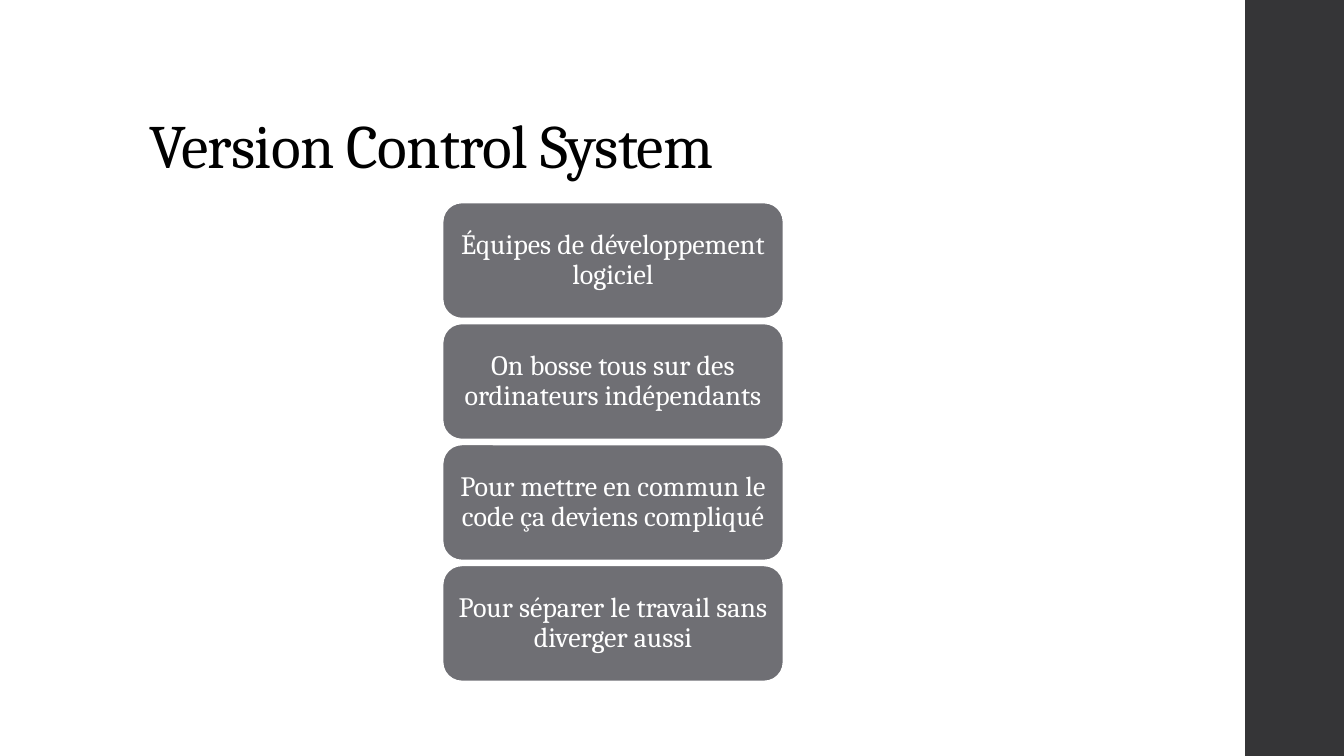
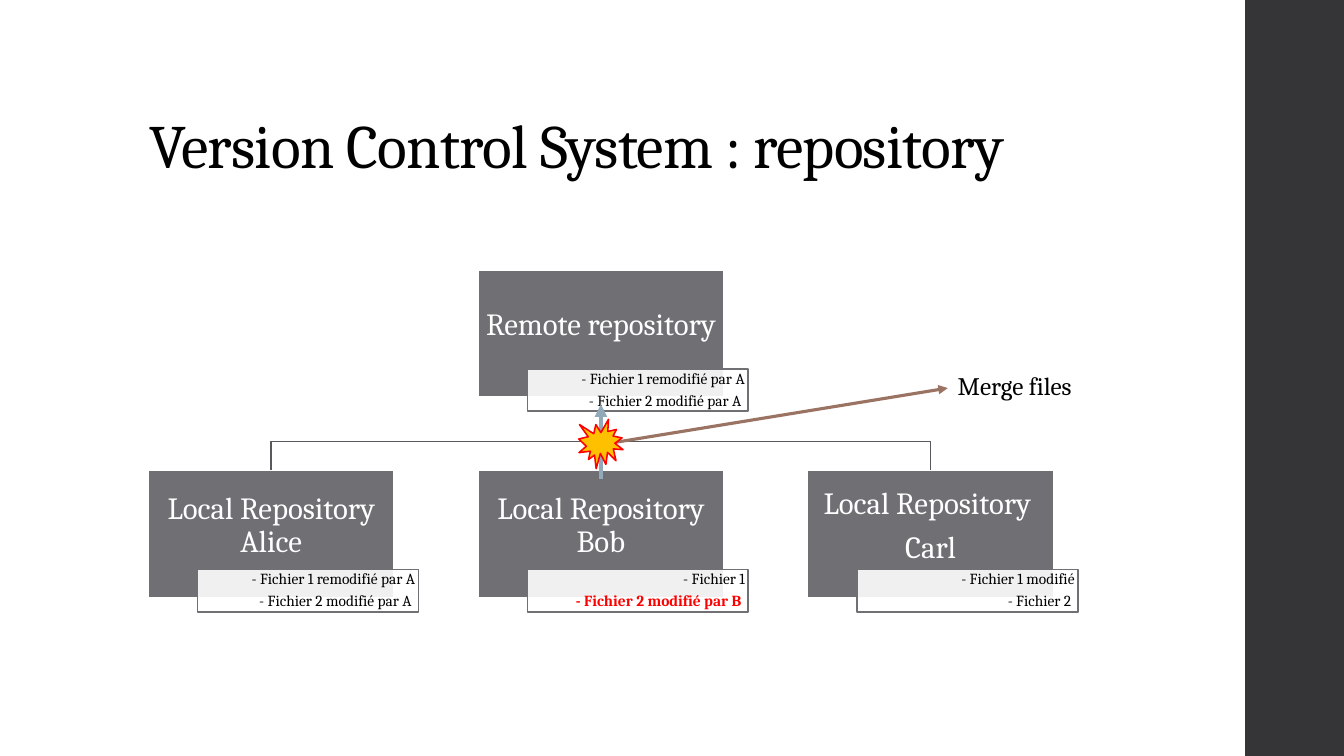
from lxml.etree import SubElement
from pptx import Presentation
from pptx.dml.color import RGBColor
from pptx.enum.shapes import MSO_CONNECTOR, MSO_SHAPE
from pptx.enum.text import MSO_ANCHOR, MSO_AUTO_SIZE, PP_ALIGN
from pptx.oxml.ns import qn
from pptx.util import Inches, Pt

WHITE = RGBColor(0xFF, 0xFF, 0xFF)
BLACK = RGBColor(0x00, 0x00, 0x00)
CHARCOAL = RGBColor(0x35, 0x35, 0x37)
GREY = RGBColor(0x6F, 0x6F, 0x74)
LINK_GREY = RGBColor(0x59, 0x59, 0x5D)
BROWN = RGBColor(0x9B, 0x73, 0x62)
BLUE = RGBColor(0x92, 0xA9, 0xB9)
AMBER = RGBColor(0xFF, 0xC0, 0x00)
RED = RGBColor(0xFF, 0x00, 0x00)


def apply(target, values):
    for name, value in values.items():
        setattr(target, name, value)


class Deck:
    """Shared style and the slide being filled."""
    FONT = "Cambria"
    TITLE_ONLY = 5
    OUTLINE = 1.1

    def __init__(self):
        self.prs = Presentation()
        self.prs.slide_width, self.prs.slide_height = Inches(13.33), Inches(7.5)

    def new_slide(self, title):
        self.slide = self.prs.slides.add_slide(self.prs.slide_layouts[self.TITLE_ONLY])
        self.shape(MSO_SHAPE.RECTANGLE, (12.35, 0, 0.98, 7.5), CHARCOAL)
        heading = self.slide.shapes.title
        apply(heading, dict(left=Inches(1.38), top=Inches(0.4),
                            width=Inches(10.6), height=Inches(1.45)))
        self.set_text(heading, [title], 44, BLACK, PP_ALIGN.LEFT, anchor=MSO_ANCHOR.BOTTOM)
        run = heading.text_frame.paragraphs[0].runs[0]
        run._r.get_or_add_rPr().set("spc", "-50")

    def set_text(self, shape, lines, size, color, align, insets=(0.1, 0.05, 0.1, 0.05),
                 anchor=MSO_ANCHOR.MIDDLE, spacing=0.9, after=0.0, wrap=True,
                 auto_size=MSO_AUTO_SIZE.NONE):
        frame = shape.text_frame
        left, top, right, bottom = map(Inches, insets)
        apply(frame, dict(word_wrap=wrap, auto_size=auto_size, vertical_anchor=anchor,
                          margin_left=left, margin_top=top,
                          margin_right=right, margin_bottom=bottom))
        for number, line in enumerate(lines):
            paragraph = frame.add_paragraph() if number else frame.paragraphs[0]
            apply(paragraph, dict(alignment=align, line_spacing=spacing,
                                  space_before=Pt(0), space_after=Pt(size * after)))
            run = paragraph.add_run()
            run.text = line
            apply(run.font, dict(name=self.FONT, size=Pt(size)))
            run.font.color.rgb = color

    def shape(self, preset, box, fill, line=None, opacity=100):
        shape = self.slide.shapes.add_shape(preset, *map(Inches, box))
        shape.shadow.inherit = False
        shape.fill.solid()
        shape.fill.fore_color.rgb = fill
        if opacity < 100:
            tint = shape._element.spPr.find(qn("a:solidFill"))[0]
            SubElement(tint, qn("a:alpha")).set("val", str(opacity * 1000))
        if line is None:
            shape.line.fill.background()
        else:
            self.stroke(shape, line, self.OUTLINE)
        return shape

    def stroke(self, shape, color, width):
        shape.line.color.rgb = color
        shape.line.width = Pt(width)

    def box(self, preset, box, lines, size, insets):
        shape = self.shape(preset, box, GREY, WHITE)
        self.set_text(shape, lines, size, WHITE, PP_ALIGN.CENTER, insets, after=0.35)
        return shape

    def repository(self, left, top, lines, files):
        body = self.box(MSO_SHAPE.RECTANGLE, (left, top, 2.44, 1.26), lines, 22,
                        (0.02, 0.02, 0.02, 0.18))
        file_list = self.shape(MSO_SHAPE.RECTANGLE, (left + 0.49, top + 0.98, 2.19, 0.42),
                               WHITE, GREY, opacity=90)
        self.set_text(file_list, files, 11, BLACK, PP_ALIGN.RIGHT,
                      (0.03, 0.01, 0.03, 0.01), after=0.35)
        return body, file_list

    def label(self, box, text):
        shape = self.slide.shapes.add_textbox(*map(Inches, box))
        self.set_text(shape, [text], 18, BLACK, PP_ALIGN.LEFT, anchor=MSO_ANCHOR.TOP,
                      spacing=1.0, wrap=False, auto_size=MSO_AUTO_SIZE.SHAPE_TO_FIT_TEXT)

    def line(self, start, end, color, width, arrow=False):
        line = self.slide.shapes.add_connector(
            MSO_CONNECTOR.STRAIGHT, *map(Inches, (*start, *end)))
        self.stroke(line, color, width)
        SubElement(line._element.spPr, qn("a:effectLst"))
        if arrow:
            outline = line._element.spPr.find(qn("a:ln"))
            SubElement(outline, qn("a:tailEnd")).set("type", "triangle")
        return line

    def branch(self, points):
        corners = [(Inches(x), Inches(y)) for x, y in points]
        builder = self.slide.shapes.build_freeform(*corners[0], scale=1.0)
        builder.add_line_segments(corners[1:], close=False)
        shape = builder.convert_to_shape()
        shape.shadow.inherit = False
        shape.fill.background()
        self.stroke(shape, LINK_GREY, self.OUTLINE)


def team_slide(deck):
    deck.new_slide("Version Control System")
    problems = [
        "Équipes de développement logiciel",
        "On bosse tous sur des ordinateurs indépendants",
        "Pour mettre en commun le code ça deviens compliqué",
        "Pour séparer le travail sans diverger aussi",
    ]
    for row, problem in enumerate(problems):
        deck.box(MSO_SHAPE.ROUNDED_RECTANGLE, (4.39, 2.01 + row * 1.2, 3.38, 1.15),
                 [problem], 20, (0.08, 0.04, 0.08, 0.04))


def repository_slide(deck):
    deck.new_slide("Version Control System : repository")
    center, pitch = 5.96, 3.27
    remote_top, local_top, fork = 2.68, 4.67, 4.38
    half = 1.22

    # Branches to the outer repositories
    for end in (center - pitch, center + pitch):
        deck.branch([(center, remote_top + 1.26), (center, fork),
                     (end, fork), (end, local_top)])
    trunk = deck.line((center, remote_top + 1.26), (center, local_top),
                      LINK_GREY, deck.OUTLINE)

    # Remote and local repositories
    remote, _ = deck.repository(center - half, remote_top, ["Remote repository"],
                                ["- Fichier 1 remodifié par A", "- Fichier 2 modifié par A "])
    locals_content = [
        (["Local Repository Alice"],
         ["- Fichier 1 remodifié par A", "- Fichier 2 modifié par A "]),
        (["Local Repository Bob"], ["- Fichier 1", "- Fichier 2 modifié par B "]),
        (["Local Repository ", "Carl"], ["- Fichier 1 modifié", "- Fichier 2 "]),
    ]
    alice, bob, carl = [
        deck.repository(center - half + (column - 1) * pitch, local_top, owner, files)
        for column, (owner, files) in enumerate(locals_content)]
    trunk.begin_connect(remote, 2)
    trunk.end_connect(bob[0], 0)

    # Bob's conflicting file
    conflict = bob[1].text_frame.paragraphs[1].runs[0].font
    conflict.bold = True
    conflict.color.rgb = RED

    # Push, conflict and merge
    deck.label((9.4, 3.62, 1.35, 0.4), "Merge files")
    deck.line((6.03, 4.4), (9.4, 3.85), BROWN, 2.25, arrow=True)
    deck.line((center, 4.75), (center, 4.01), BLUE, 3, arrow=True)
    deck.shape(MSO_SHAPE.EXPLOSION1, (5.74, 4.16, 0.44, 0.49), AMBER, RED)


def main():
    deck = Deck()
    team_slide(deck)
    repository_slide(deck)
    deck.prs.save("out.pptx")


if __name__ == "__main__":
    main()
